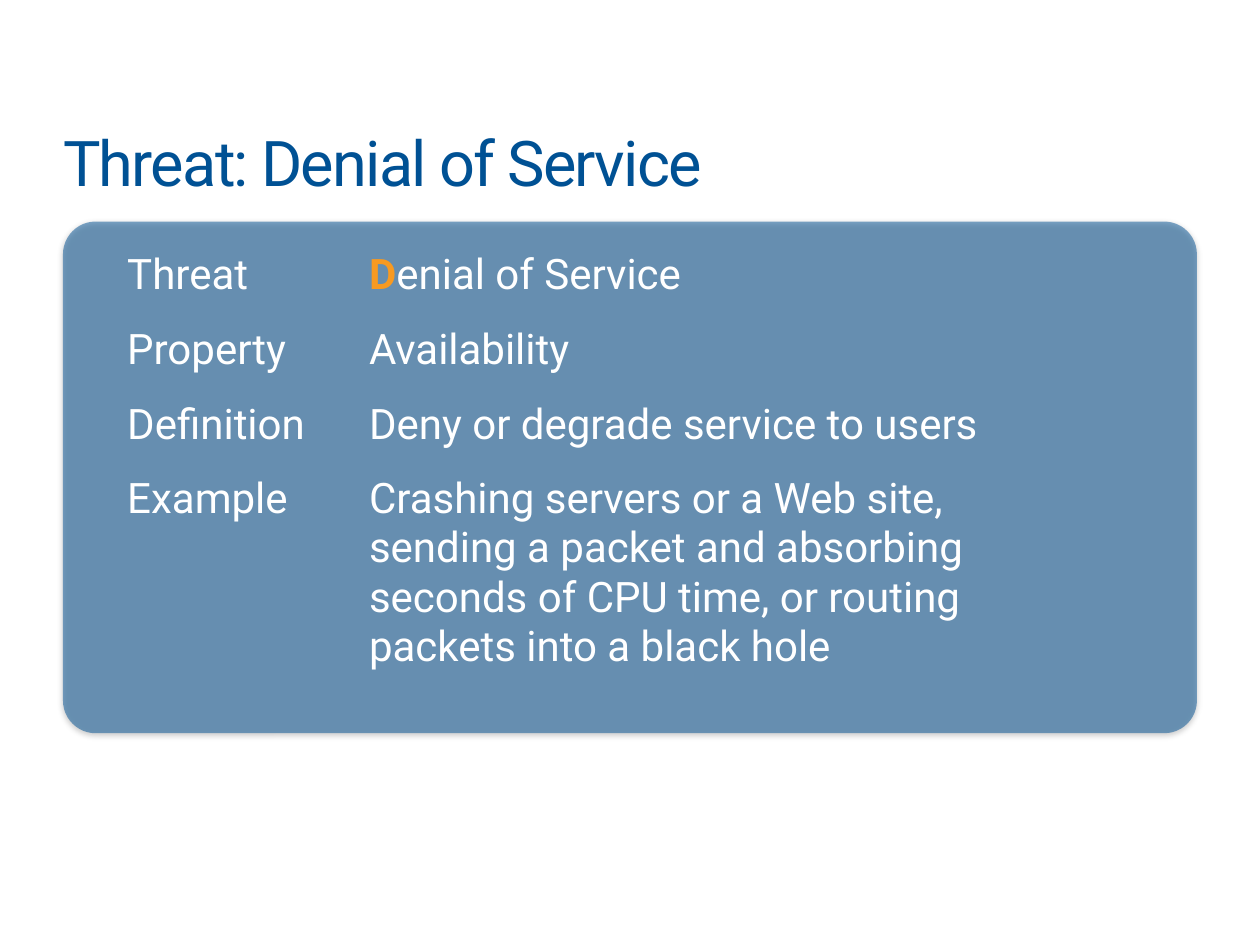
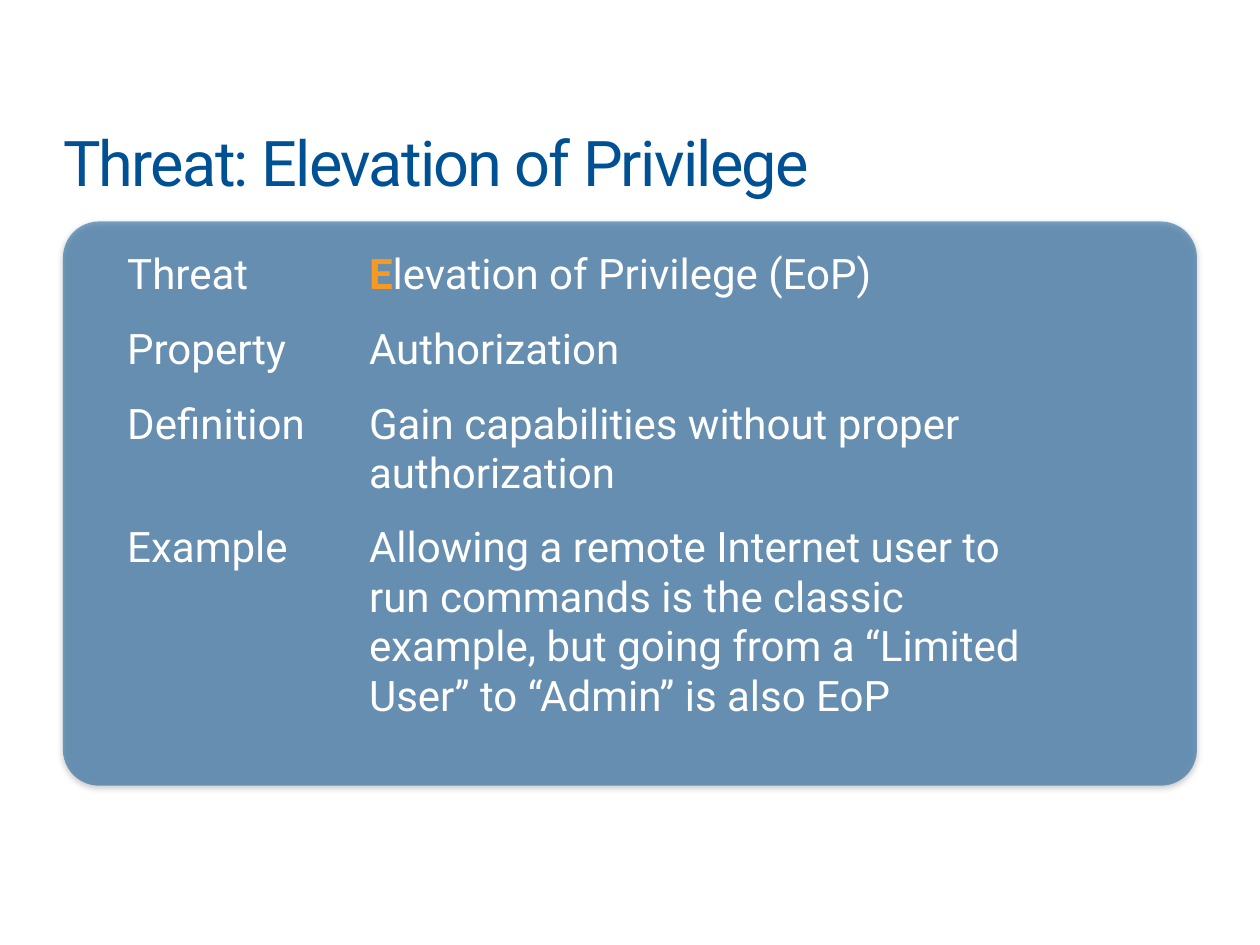
from lxml import etree
from pptx import Presentation
from pptx.dml.color import RGBColor
from pptx.enum import shapes, text
from pptx.oxml import ns
from pptx.util import Pt

COLORS = {"blue": "005194", "white": "FFFFFF", "orange": "F89A21", "shadow": "000000"}
FONT = "Roboto"
LABELS = ["Threat", "Property", "Definition", "Example"]
NO_TABLE_STYLE = "{2D5ABB26-0587-4C30-8999-92F81FD0307C}"
LINE_HEIGHT, CELL_MARGIN = 28.2, 7.2

# Each answer comes with the number of lines it fills.
THREATS = [
    {
        "name": "Denial of Service",
        "panel_height": 292.4,
        "answers": [
            ("Denial of Service", 1),
            ("Availability", 1),
            ("Deny or degrade service to users", 1),
            ("Crashing servers or a Web site, sending a packet and absorbing "
             "seconds of CPU time, or routing packets into a black hole", 4),
        ],
    },
    {
        "name": "Elevation of Privilege",
        "panel_height": 322.4,
        "answers": [
            ("Elevation of Privilege (EoP)", 1),
            ("Authorization", 1),
            ("Gain capabilities without proper authorization", 2),
            ("Allowing a remote Internet user to run commands is the classic "
             "example, but going from a “Limited User” to “Admin” is also EoP", 4),
        ],
    },
]


def add_span(para, words, size, color, bold=False):
    span = para.add_run()
    span.text = words
    span.font.name = FONT
    span.font.size = Pt(size)
    span.font.bold = bold
    span.font.color.rgb = RGBColor.from_string(COLORS[color])
    return span


def add_xml(parent, tag, **attributes):
    return etree.SubElement(parent, ns.qn(tag), attributes)


deck = Presentation()
deck.slide_width, deck.slide_height = Pt(720), Pt(540)

for threat in THREATS:
    page = deck.slides.add_slide(deck.slide_layouts[5])

    # Title
    title = page.shapes.title
    title.left, title.top, title.width, title.height = Pt(36), Pt(70.6), Pt(648.5), Pt(44)
    frame = title.text_frame
    frame.margin_left = frame.margin_top = frame.margin_right = frame.margin_bottom = 0
    frame.vertical_anchor = text.MSO_ANCHOR.TOP
    para = frame.paragraphs[0]
    para.alignment = text.PP_ALIGN.LEFT
    span = add_span(para, f"Threat: {threat['name']}", 36, "blue")
    span.font.element.set("spc", "-100") if hasattr(span.font, "element") else \
        span._r.get_or_add_rPr().set("spc", "-100")

    # Translucent panel with a soft shadow
    panel = page.shapes.add_shape(
        shapes.MSO_SHAPE.ROUNDED_RECTANGLE,
        Pt(36), Pt(126.6), Pt(648), Pt(threat["panel_height"]))
    panel.adjustments[0] = 0.064
    panel.fill.solid()
    panel.fill.fore_color.rgb = RGBColor.from_string(COLORS["blue"])
    panel.line.fill.background()
    panel.shadow.inherit = False
    fill_color = panel.element.spPr.find(ns.qn("a:solidFill"))[0]
    add_xml(fill_color, "a:alpha", val="50000")
    effects = panel.element.spPr.find(ns.qn("a:effectLst"))
    shadow = add_xml(effects, "a:outerShdw", blurRad=str(Pt(3.1)), dist=str(Pt(1.6)),
                     dir="5400000", rotWithShape="0")
    shadow_color = add_xml(shadow, "a:srgbClr", val=COLORS["shadow"])
    add_xml(shadow_color, "a:alpha", val="38000")

    # Table of labels and answers
    heights = [lines * LINE_HEIGHT + 2 * CELL_MARGIN for _, lines in threat["answers"]]
    holder = page.shapes.add_table(
        len(LABELS), 2, Pt(65.5), Pt(136.1), Pt(539.3), Pt(sum(heights)))
    next(holder.element.iter(ns.qn("a:tableStyleId"))).text = NO_TABLE_STYLE
    table = holder.table
    table.first_row = table.horz_banding = False
    table.columns[0].width, table.columns[1].width = Pt(138.2), Pt(401.1)

    for index, (label, (answer, _)) in enumerate(zip(LABELS, threat["answers"])):
        table.rows[index].height = Pt(heights[index])
        for cell in table.rows[index].cells:
            cell.fill.background()
            cell.margin_left = cell.margin_right = Pt(CELL_MARGIN)
            cell.margin_top = cell.margin_bottom = Pt(CELL_MARGIN)
        add_span(table.cell(index, 0).text_frame.paragraphs[0], label, 24, "white")
        para = table.cell(index, 1).text_frame.paragraphs[0]
        if label == "Threat":
            add_span(para, answer[0], 24, "orange", bold=True)
            answer = answer[1:]
        add_span(para, answer, 24, "white")

deck.save("out.pptx")
